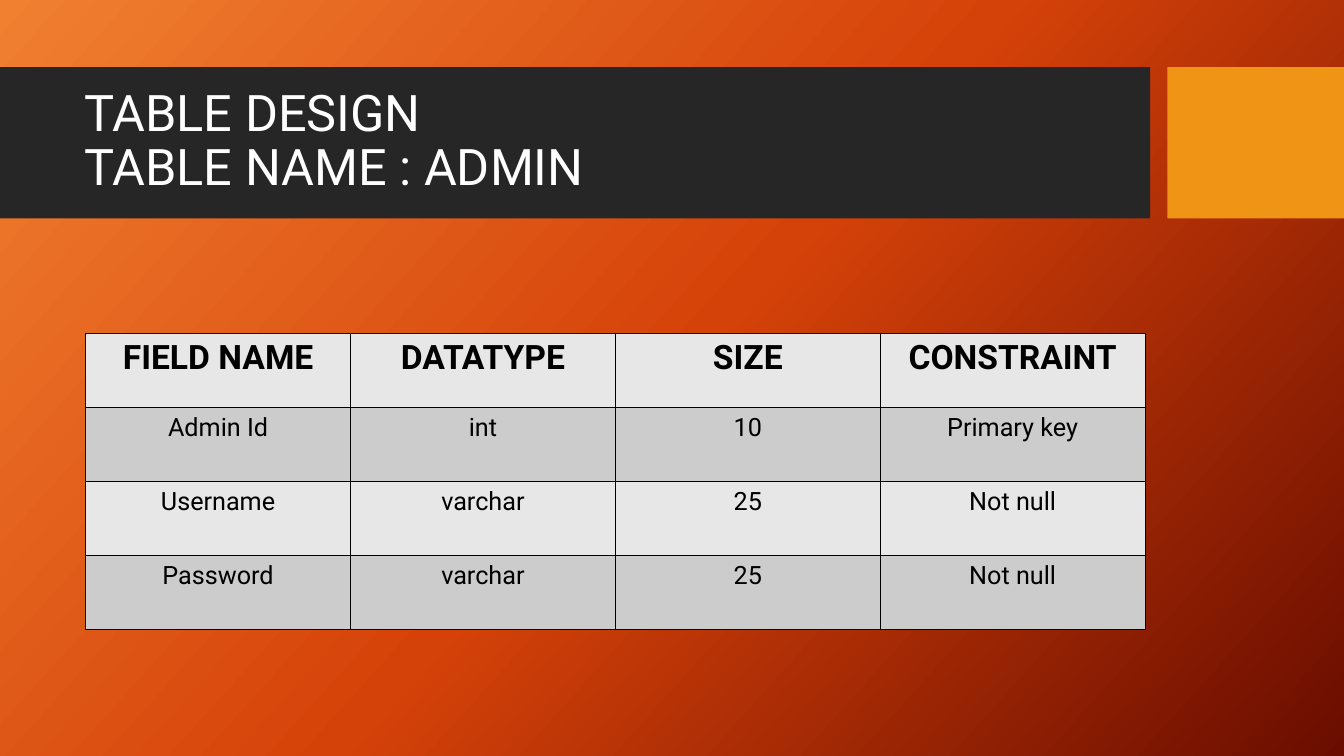
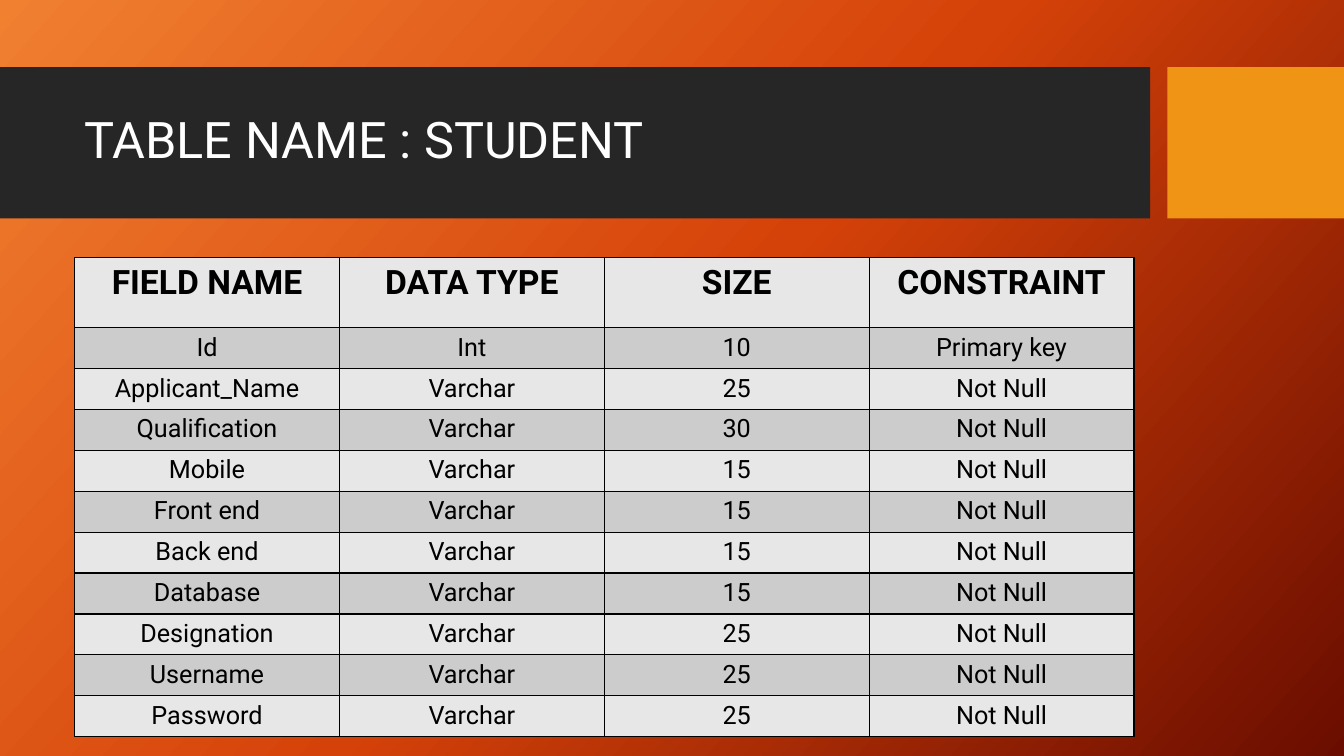
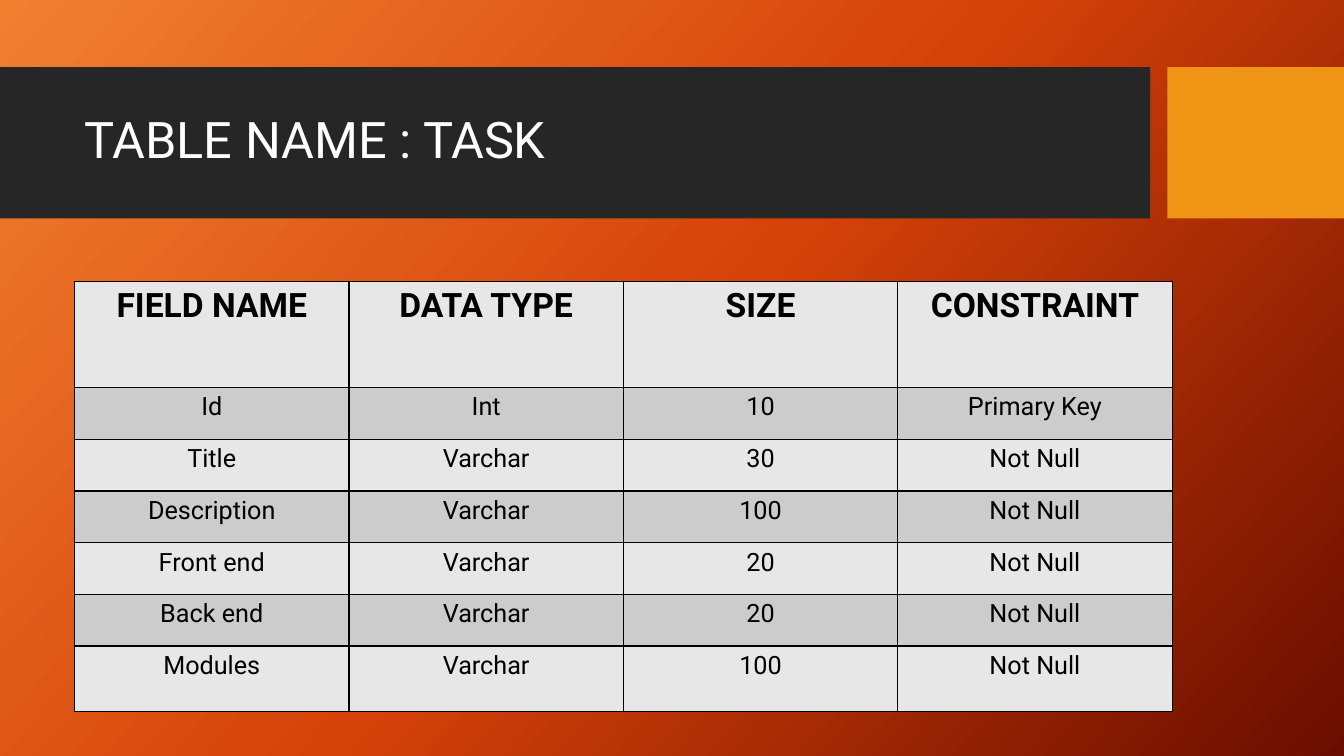
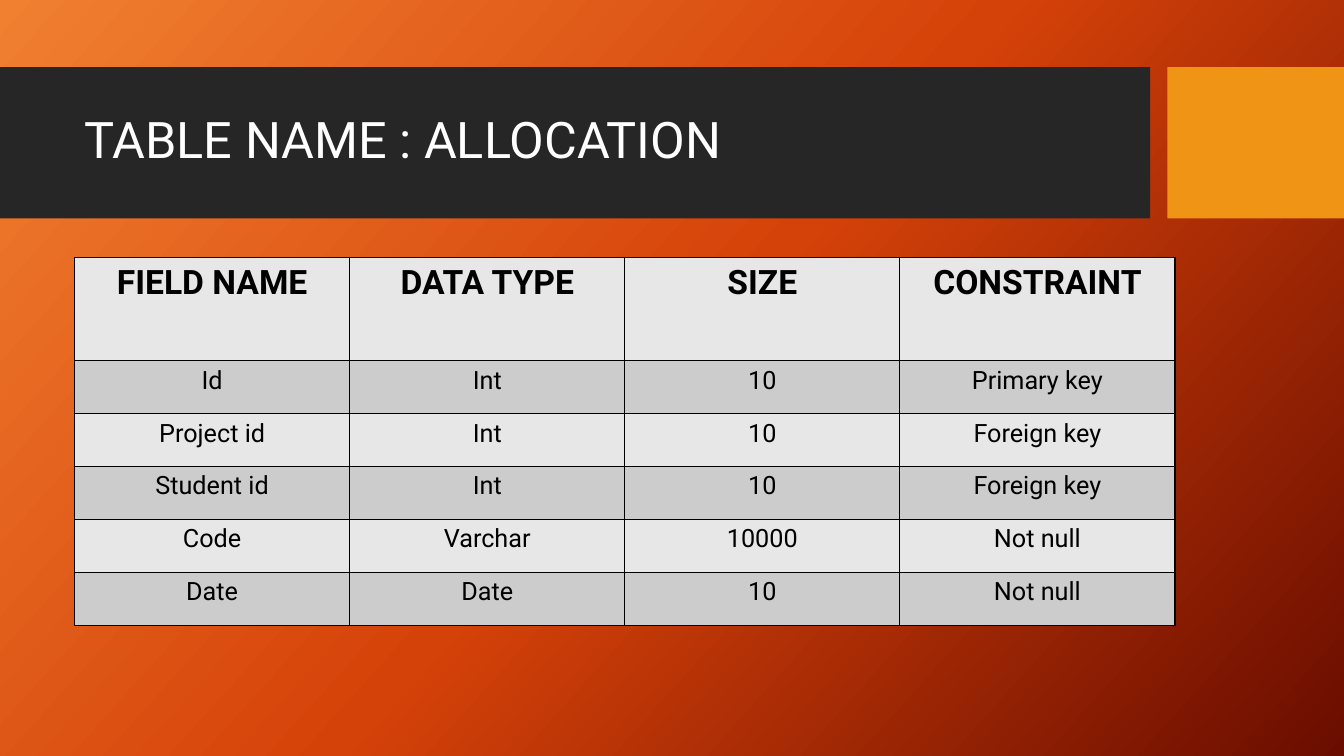
"""Build four slides that describe the tables of a database."""
from copy import deepcopy
from dataclasses import dataclass

from lxml import etree
from pptx import Presentation, dml, util as u
from pptx.dml import color
from pptx.enum import shapes, text
from pptx.oxml import ns

FONT = "Roboto"
WHITE, BLACK = "FFFFFF", "000000"
DARK, AMBER = "262626", "F09415"
ROWS = ("E7E7E7", "CCCCCC")
GLOW = ((0, "F18031"), (0.5, "D54209"), (1, "6A0D00"))
ANGLE = 42
WIDTH, HEIGHT = 960, 540


@dataclass
class Box:
    left: float
    top: float
    width: float
    height: float

    def pts(self) -> list:
        return [u.Pt(n) for n in (self.left, self.top, self.width, self.height)]


@dataclass
class Band:
    box: Box
    fill: str


@dataclass
class Page:
    title: str
    left: float
    top: float
    column: float
    heights: list
    cells: list


BANDS = (
    Band(Box(0, 48, 821.5, 108), DARK),
    Band(Box(833.8, 48, 126.2, 108), AMBER),
)
TITLE = Box(53.3, 59, 756.7, 85)

PAGES = (
    Page("TABLE DESIGN\nTABLE NAME : ADMIN", 61.2, 238.3, 189.2, [52.9] * 4, [
        ("FIELD NAME", "DATATYPE", "SIZE", "CONSTRAINT"),
        ("Admin Id", "int", "10", "Primary key"),
        ("Username", "varchar", "25", "Not null"),
        ("Password", "varchar", "25", "Not null"),
    ]),
    Page("TABLE NAME : STUDENT", 53.3, 184.2, 189.2, [50] + [29.2] * 10, [
        ("FIELD NAME", "DATA TYPE", "SIZE", "CONSTRAINT"),
        ("Id", "Int", "10", "Primary key"),
        ("Applicant_Name", "Varchar", "25", "Not Null"),
        ("Qualification", "Varchar", "30", "Not Null"),
        ("Mobile", "Varchar", "15", "Not Null"),
        ("Front end", "Varchar", "15", "Not Null"),
        ("Back end", "Varchar", "15", "Not Null"),
        ("Database", "Varchar", "15", "Not Null"),
        ("Designation", "Varchar", "25", "Not Null"),
        ("Username", "Varchar", "25", "Not Null"),
        ("Password", "Varchar", "25", "Not Null"),
    ]),
    Page("TABLE NAME : TASK", 53.3, 200.8, 196, [76] + [36.95] * 5 + [46.5], [
        ("FIELD NAME", "DATA TYPE", "SIZE", "CONSTRAINT"),
        ("Id", "Int", "10", "Primary Key"),
        ("Title", "Varchar", "30", "Not Null"),
        ("Description", "Varchar", "100", "Not Null"),
        ("Front end", "Varchar", "20", "Not Null"),
        ("Back end", "Varchar", "20", "Not Null"),
        ("Modules", "Varchar", "100", "Not Null"),
    ]),
    Page("TABLE NAME : ALLOCATION", 53.3, 184.2, 196.5, [73.5] + [37.8] * 5, [
        ("FIELD NAME", "DATA TYPE", "SIZE", "CONSTRAINT"),
        ("Id", "Int", "10", "Primary key"),
        ("Project id", "Int", "10", "Foreign key"),
        ("Student id", "Int", "10", "Foreign key"),
        ("Code", "Varchar", "10000", "Not null"),
        ("Date", "Date", "10", "Not null"),
    ]),
)


def rgb(code: str) -> color.RGBColor:
    return color.RGBColor.from_string(code)


def paint(item, code: str) -> None:
    item.fill.solid()
    item.fill.fore_color.rgb = rgb(code)


def write(frame, words: str, size: float, code: str, bold: bool = False):
    para = frame.paragraphs[0]
    para.text = words
    for run in para.runs:
        run.font.name = FONT
        run.font.size = u.Pt(size)
        run.font.bold = bold
        run.font.color.rgb = rgb(code)
    return para


def shade(slide) -> None:
    fill = slide.background.fill
    fill.gradient()
    fill.gradient_angle = 360 - ANGLE
    stops = slide.element.find(".//" + ns.qn("a:gsLst"))
    stops.append(deepcopy(stops[-1]))
    for stop, (place, code) in zip(fill.gradient_stops, GLOW):
        stop.position = place
        stop.color.rgb = rgb(code)


def draw_band(slide, band: Band) -> None:
    shape = slide.shapes.add_shape(shapes.MSO_SHAPE.RECTANGLE, *band.box.pts())
    shape.shadow.inherit = False
    shape.line.fill.background()
    paint(shape, band.fill)


def draw_title(slide, words: str) -> None:
    frame = slide.shapes.add_textbox(*TITLE.pts()).text_frame
    frame.word_wrap = True
    frame.vertical_anchor = text.MSO_ANCHOR.MIDDLE
    write(frame, words, 36, WHITE).line_spacing = 0.9


def edge(cell) -> None:
    props = cell._tc.get_or_add_tcPr()
    for spot, side in enumerate("LRTB"):
        line = etree.Element(ns.qn(f"a:ln{side}"), w=str(u.Pt(1)))
        solid = etree.SubElement(line, ns.qn("a:solidFill"))
        etree.SubElement(solid, ns.qn("a:srgbClr"), val=BLACK)
        props.insert(spot, line)


def draw_table(slide, page: Page) -> None:
    count = len(page.cells[0])
    box = Box(page.left, page.top, page.column * count, sum(page.heights))
    table = slide.shapes.add_table(len(page.cells), count, *box.pts()).table
    table.first_row = table.horz_banding = False
    for col in table.columns:
        col.width = u.Pt(page.column)
    for i, (row, words) in enumerate(zip(table.rows, page.cells)):
        row.height = u.Pt(page.heights[i])
        head = i == 0
        for cell, word in zip(row.cells, words):
            para = write(cell.text_frame, word, 24 if head else 18, BLACK, head)
            para.alignment = text.PP_ALIGN.CENTER
            paint(cell, ROWS[i % 2])
            edge(cell)


def main() -> None:
    deck = Presentation()
    deck.slide_width, deck.slide_height = u.Pt(WIDTH), u.Pt(HEIGHT)
    for page in PAGES:
        slide = deck.slides.add_slide(deck.slide_layouts[6])
        shade(slide)
        for band in BANDS:
            draw_band(slide, band)
        draw_title(slide, page.title)
        draw_table(slide, page)
    deck.save("out.pptx")


if __name__ == "__main__":
    main()
